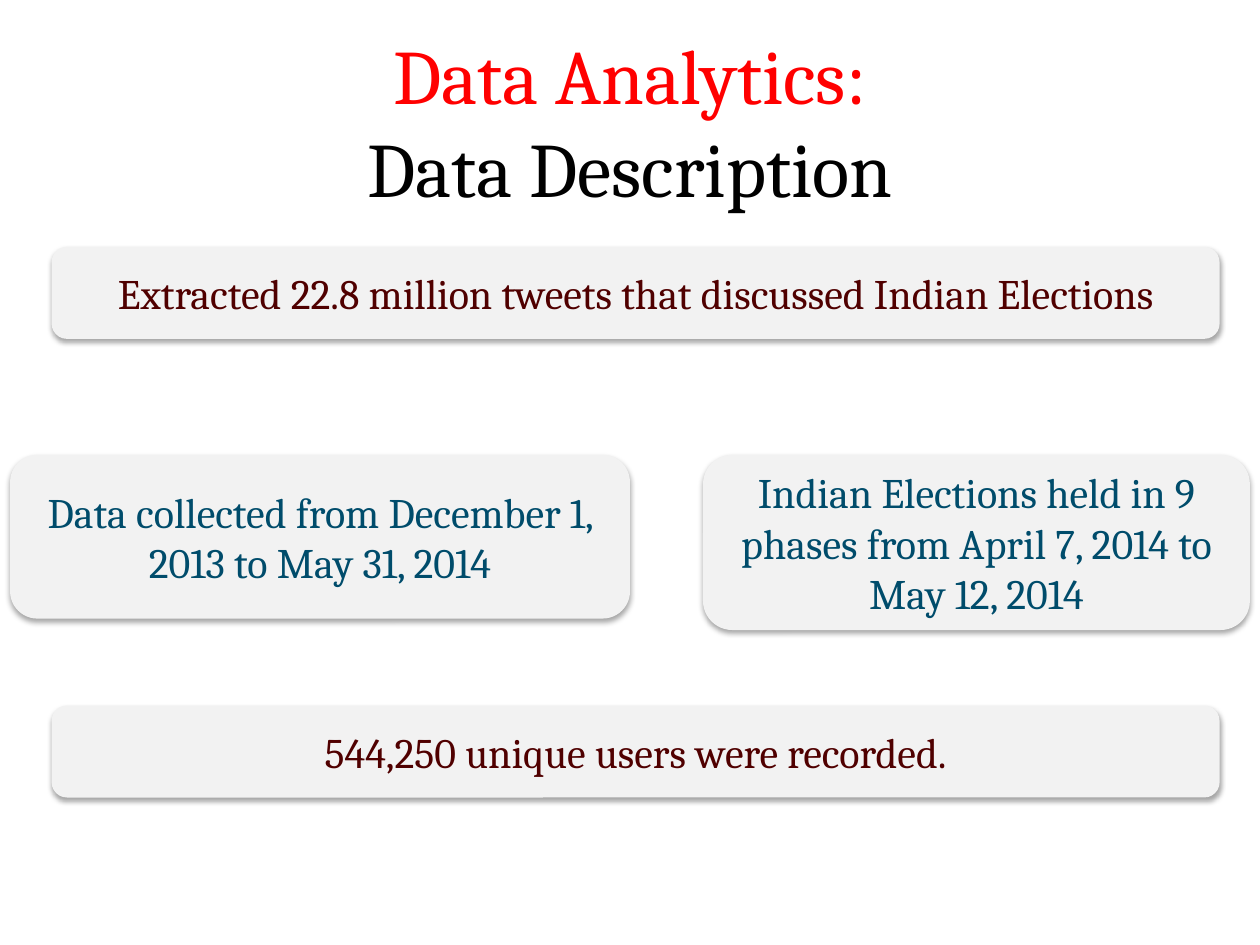
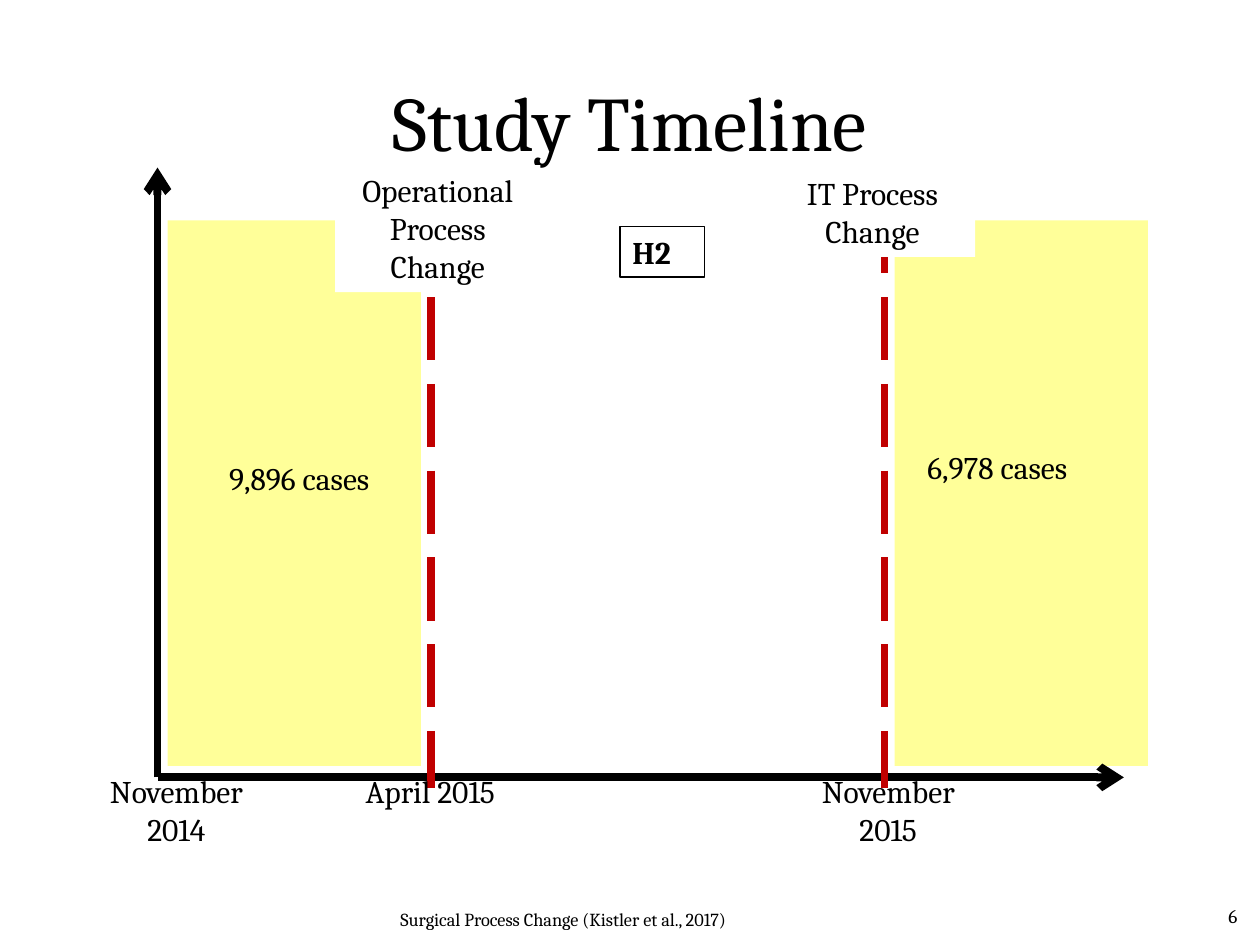
import pptx
import pptx.util
import pptx.dml.color
import pptx.enum.dml
import pptx.enum.shapes
import pptx.enum.text
import pptx.oxml
import pptx.oxml.ns
from lxml import etree

Inches = pptx.util.Inches
Pt = pptx.util.Pt
Shape = pptx.enum.shapes.MSO_SHAPE
Align = pptx.enum.text.PP_ALIGN
Anchor = pptx.enum.text.MSO_ANCHOR

FONT = "Cambria"
COLORS = {
    "ink": "000000", "red": "FF0000", "maroon": "500000", "teal": "004C6B",
    "card": "F2F2F2", "period": "FFFF99", "change": "C00000", "white": "FFFFFF",
}
TITLE_BOX = (0.75, 0.33, 8.5, 1.25)


def color(name):
    return pptx.dml.color.RGBColor.from_string(COLORS[name])


def place(item, box):
    item.left, item.top, item.width, item.height = map(Inches, box)


def add_span(para, text, size, ink="ink", bold=False):
    span = para.add_run()
    span.text = text
    span.font.name = FONT
    span.font.size = Pt(size)
    span.font.bold = bold
    span.font.color.rgb = color(ink)


def write(item, text, size, ink="ink", align=Align.CENTER, anchor=Anchor.TOP, bold=False):
    frame = item.text_frame
    frame.word_wrap = True
    frame.vertical_anchor = anchor
    para = frame.paragraphs[0]
    para.alignment = align
    add_span(para, text, size, ink, bold)
    return para


def add_text(page, box, text, size, **style):
    return write(page.shapes.add_textbox(*map(Inches, box)), text, size, **style)


def add_block(page, box, fill=None, line=None, kind=Shape.RECTANGLE):
    block = page.shapes.add_shape(kind, *map(Inches, box))
    block.shadow.inherit = False
    if fill:
        block.fill.solid()
        block.fill.fore_color.rgb = color(fill)
    else:
        block.fill.background()
    if line:
        block.line.color.rgb = color(line)
        block.line.width = Pt(0.75)
    else:
        block.line.fill.background()
    return block


def add_line(page, start, end, ink, arrow=False, dashed=False):
    line = page.shapes.add_connector(
        pptx.enum.shapes.MSO_CONNECTOR.STRAIGHT, *map(Inches, start + end))
    line.line.color.rgb = color(ink)
    line.line.width = Pt(4.5)
    if dashed:
        line.line.dash_style = pptx.enum.dml.MSO_LINE.LONG_DASH
    if arrow:
        tail = etree.SubElement(line.line._get_or_add_ln(), pptx.oxml.ns.qn("a:tailEnd"))
        tail.set("type", "arrow")
    etree.SubElement(line._element.spPr, pptx.oxml.ns.qn("a:effectLst"))


def add_soft_shadow(item):
    effects = item._element.spPr.find(pptx.oxml.ns.qn("a:effectLst"))
    effects.append(pptx.oxml.parse_xml(
        f'<a:outerShdw {pptx.oxml.ns.nsdecls("a")} blurRad="{Pt(3.1)}" dist="{Pt(1.8)}" '
        f'dir="5400000" rotWithShape="0"><a:srgbClr val="{COLORS["ink"]}">'
        '<a:alpha val="35000"/></a:srgbClr></a:outerShdw>'))


def add_page(deck, title_lines):
    """Start a title-only page; each title line is (text, colour)."""
    page = deck.slides.add_slide(deck.slide_layouts[5])
    title = page.shapes.title
    place(title, TITLE_BOX)
    frame = title.text_frame
    frame.auto_size = pptx.enum.text.MSO_AUTO_SIZE.NONE
    frame.vertical_anchor = Anchor.MIDDLE
    para = frame.paragraphs[0]
    para.alignment = Align.CENTER
    for index, (text, ink) in enumerate(title_lines):
        if index:
            para.add_line_break()
        add_span(para, text, 44, ink)
    return page


def add_card(page, box, text, ink):
    card = add_block(page, box, "card", kind=Shape.ROUNDED_RECTANGLE)
    add_soft_shadow(card)
    write(card, text, 24, ink, anchor=Anchor.MIDDLE)


def build_data_description(deck):
    page = add_page(deck, [("Data Analytics:", "red"), ("Data Description", "ink")])
    # Wide cards above and below the pair of dates
    wide_cards = [(1.96, "Extracted 22.8 million tweets that discussed Indian Elections"),
                  (5.6, "544,250 unique users were recorded.")]
    for top, text in wide_cards:
        add_card(page, (0.41, top, 9.27, 0.73), text, "maroon")
    # Date cards
    add_card(page, (0.08, 3.61, 4.92, 1.3),
             "Data collected from December 1, 2013 to May 31, 2014", "teal")
    add_card(page, (5.58, 3.61, 4.34, 1.39),
             "Indian Elections held in 9 phases from April 7, 2014 to May 12, 2014", "teal")


def add_timeline(page, box):
    """Axes, study periods and process changes; box is the area the axes span."""
    left, top, width, height = box
    base = top + height

    # Shaded study periods
    for offset in (0.08, 5.85):
        add_block(page, (left + offset, top + 0.42, 2.01, 4.33), "period")

    # Axes
    for end in ((left, top), (left + width, base)):
        add_line(page, (left, base), end, "ink", arrow=True)

    # Dashed markers of the changes
    for offset in (2.17, 5.77):
        add_line(page, (left + offset, top + 0.34), (left + offset, base + 0.08),
                 "change", dashed=True)

    # Dates under the axis
    dates = [(-0.6, 1.5, "November 2014"), (1.5, 1.33, "April 2015"),
             (5.1, 1.4, "November 2015")]
    for offset, date_width, text in dates:
        add_text(page, (left + offset, base - 0.09, date_width, 0.71), text, 18)

    # Hypothesis tag
    tag = add_block(page, (left + 3.67, top + 0.47, 0.67, 0.4), line="ink")
    write(tag, "H2", 18, align=Align.LEFT, bold=True)

    # Names of the changes
    changes = [(1.41, -0.02, 1.01, "Operational Process Change"),
               (4.86, 0, 0.71, "IT Process Change")]
    for offset, drop, label_height, text in changes:
        label = add_block(page, (left + offset, top + drop, 1.63, label_height), "white")
        write(label, text, 18)

    # Case counts
    for offset, drop, text in [(0.4, 2.22, "9,896 cases"), (5.94, 2.13, "6,978 cases")]:
        count = add_block(page, (left + offset, top + drop, 1.45, 0.81), "period")
        para = write(count, text, 18)
        para.line_spacing = 1.15
        para.space_after = Pt(10)


def add_footer(page, source, number):
    add_text(page, (3.08, 7.16, 3.83, 0.28), source, 10.5, align=Align.LEFT)
    add_text(page, (9.65, 7.13, 0.33, 0.29), number, 11, align=Align.LEFT)


def build_study_timeline(deck):
    page = add_page(deck, [("Study Timeline", "ink")])
    add_timeline(page, (1.25, 1.33, 7.67, 4.84))
    add_footer(page, "Surgical Process Change (Kistler et al., 2017)", "6")


def main():
    deck = pptx.Presentation()
    deck.slide_width, deck.slide_height = Inches(10), Inches(7.5)
    build_data_description(deck)
    build_study_timeline(deck)
    deck.save("out.pptx")


if __name__ == "__main__":
    main()
